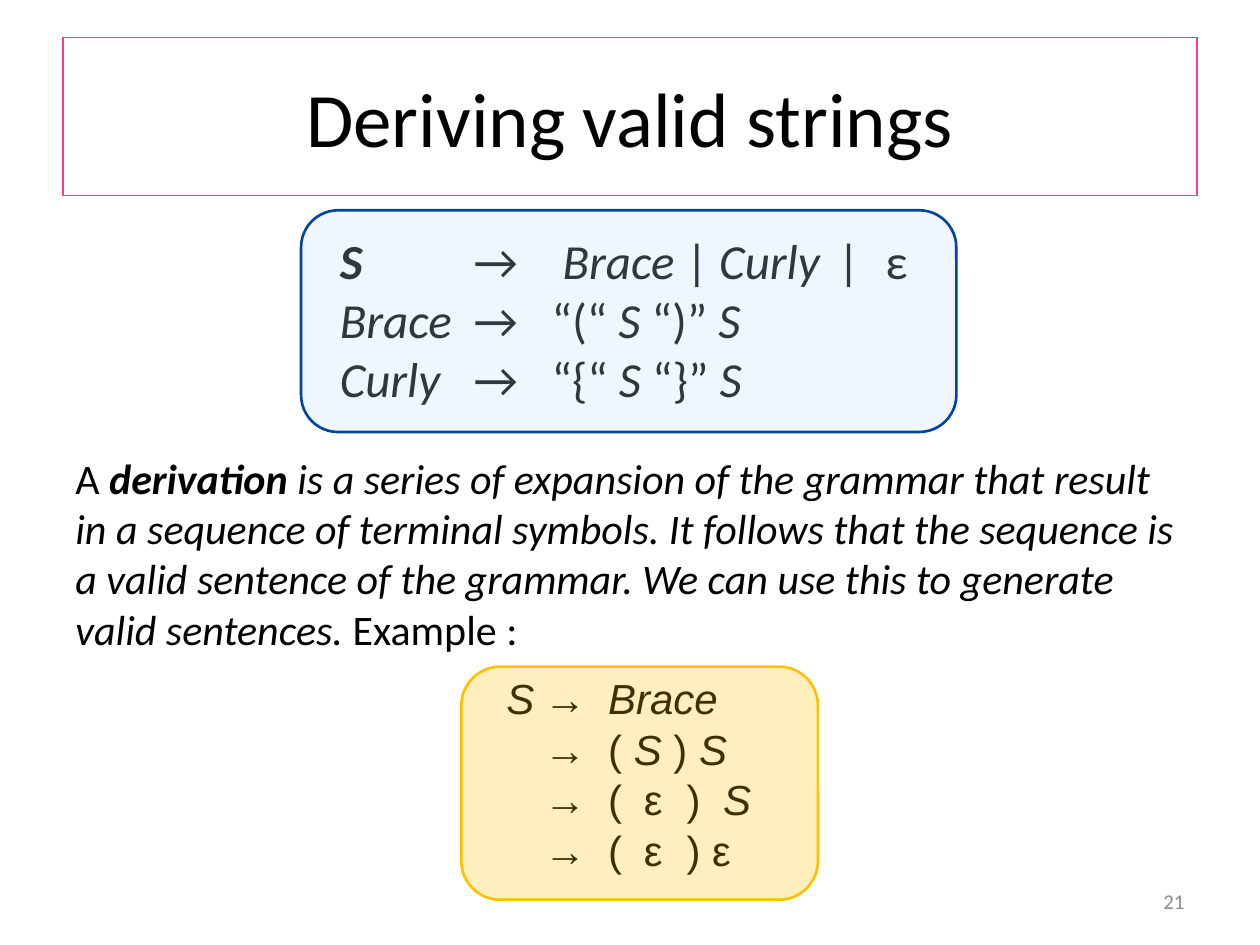
from lxml import etree
from pptx import Presentation
from pptx import util as u
from pptx.dml.color import RGBColor
from pptx.enum import shapes, text
from pptx.oxml.ns import qn

GRAMMAR = [
    [("S", "bi"), ("\t→\t", ""), (" Brace ", "i"), ("|", ""), (" Curly", "i"), ("\t|\tε", "")],
    [("Brace", "i"), ("\t→\t“(“ ", ""), ("S ", "i"), ("“)” ", ""), ("S", "i")],
    [("Curly", "i"), ("\t→\t“{“", ""), (" S ", "i"), ("“}” ", ""), ("S", "i")],
]
DEFINITION = [[
    ("A ", ""),
    ("derivation", "bi"),
    (" is a series of expansion of the grammar that result in a sequence of terminal "
     "symbols. It follows that the sequence is a valid sentence of the grammar. "
     "We can use this to generate valid sentences. ", "i"),
    ("Example :", ""),
]]
DERIVATION = [
    [("S", "i"), ("\t→\t", ""), ("Brace", "i")],
    [("\t→\t( ", ""), ("S", "i"), (" ) ", ""), ("S", "i")],
    [("\t→\t(\tε\t)\t", ""), ("S", "i")],
    [("\t→\t(\tε\t) ε", "")],
]


def colour(value):
    """Turn a hex string into a colour."""
    return RGBColor.from_string(value)


def place(box):
    """Convert left, top, width and height from centimetres."""
    return [u.Cm(length) for length in box]


def set_format(target, values):
    """Set every attribute named in values."""
    for name, value in values.items():
        setattr(target, name, value)


def set_font(font, size, face="Calibri", ink="000000"):
    """Give a font its size, face and colour."""
    set_format(font, {"size": u.Pt(size), "name": face})
    font.color.rgb = colour(ink)


def add_tabs(paragraph, stops):
    """Add left tab stops, in centimetres, to a paragraph."""
    tabs = etree.SubElement(paragraph._p.get_or_add_pPr(), qn("a:tabLst"))
    for stop in stops:
        etree.SubElement(tabs, qn("a:tab"), pos=str(u.Cm(stop)), algn="l")


def add_title(slide, wording):
    """Move, outline and fill the title placeholder."""
    title = slide.shapes.title
    set_format(title, dict(zip(("left", "top", "width", "height"),
                               place((1.27, 0.76, 22.86, 3.18)))))
    title.line.color.rgb = colour("FF388C")
    title.line.width = u.Pt(0.75)
    frame = title.text_frame
    frame.text = wording
    frame.vertical_anchor = text.MSO_ANCHOR.MIDDLE
    frame.paragraphs[0].alignment = text.PP_ALIGN.CENTER
    set_font(frame.paragraphs[0].runs[0].font, 44)


def add_text(slide, box, lines, size, face="Calibri", ink="000000", stops=(),
             anchor=text.MSO_ANCHOR.TOP, align=text.PP_ALIGN.LEFT):
    """Add a text box whose lines are lists of wording and style pairs."""
    frame = slide.shapes.add_textbox(*place(box)).text_frame
    set_format(frame, {"word_wrap": True, "vertical_anchor": anchor})
    for index, line in enumerate(lines):
        paragraph = frame.add_paragraph() if index else frame.paragraphs[0]
        paragraph.alignment = align
        if stops:
            add_tabs(paragraph, stops)
        for wording, style in line:
            run = paragraph.add_run()
            run.text = wording
            set_font(run.font, size, face, ink)
            set_format(run.font, {"bold": "b" in style, "italic": "i" in style})


def add_panel(slide, box, tint, edge):
    """Lay a rounded panel with a quarter-strength tint over the text."""
    panel = slide.shapes.add_shape(shapes.MSO_SHAPE.ROUNDED_RECTANGLE, *place(box))
    panel.shadow.inherit = False
    panel.fill.solid()
    panel.fill.fore_color.rgb = colour(tint)
    tint_xml = panel._element.spPr.find(qn("a:solidFill"))[0]
    etree.SubElement(tint_xml, qn("a:alpha"), val="25000")
    panel.line.color.rgb = colour(edge)
    panel.line.width = u.Pt(1.5)


def main():
    """Build the slide and save it."""
    deck = Presentation()
    set_format(deck, {"slide_width": u.Cm(25.4), "slide_height": u.Cm(19.05)})
    slide = deck.slides.add_slide(deck.slide_layouts[5])
    add_title(slide, "Deriving valid strings")
    add_text(slide, (18.21, 17.65, 5.92, 1.02), [[("21", "")]], 12, ink="8C8C8C",
             anchor=text.MSO_ANCHOR.MIDDLE, align=text.PP_ALIGN.RIGHT)
    add_text(slide, (6.6, 4.52, 12.19, 3.84), GRAMMAR, 28, stops=(2.7, 4.27, 10.03, 11))
    add_text(slide, (1.27, 8.99, 22.81, 4.37), DEFINITION, 24)
    add_text(slide, (9.96, 13.44, 5.46, 4.37), DERIVATION, 24, "Arial",
             stops=(0.76, 2.05, 2.77, 3.63, 4.37))
    add_panel(slide, (6.07, 4.24, 13.21, 4.47), "C3DDFF", "00449E")
    add_panel(slide, (9.3, 13.44, 7.19, 4.7), "FFC000", "FFC000")
    deck.save("out.pptx")


if __name__ == "__main__":
    main()
